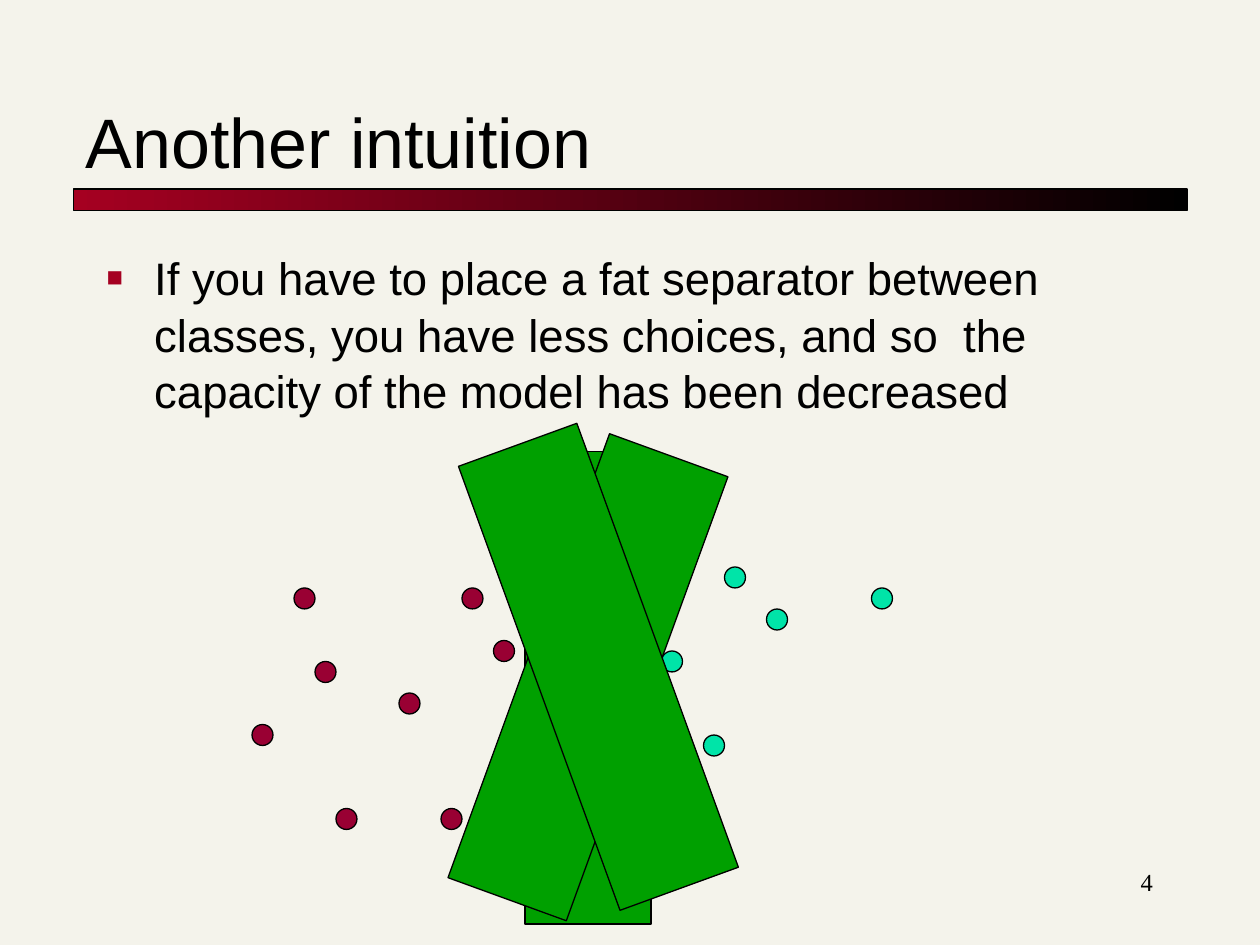
from lxml.etree import SubElement
from pptx import Presentation
from pptx.dml.color import RGBColor
from pptx.enum.shapes import MSO_SHAPE as Shape
from pptx.enum.text import MSO_ANCHOR as Anchor, PP_ALIGN as Align
from pptx.oxml.ns import qn
from pptx.util import Cm, Pt

COLORS = {
    "paper": "F4F3EB", "ink": "000000", "accent": "A50021",
    "left_class": "990033", "right_class": "00E4A8", "separator": "00A000",
}
GRID = 2.54 / 12  # the drawing sits on a grid of twelve steps to the inch

# Dot positions in grid steps from the top left of the drawing
LEFT_CLASS = [(4, 2), (6, 9), (8, 23), (20, 2), (0, 15), (14, 12), (23, 7), (18, 23)]
RIGHT_CLASS = [(39, 8), (43, 16), (45, 0), (59, 2), (49, 4)]
# Separators: left, top (grid steps) and rotation
SEPARATORS = [(26, -11, 0), (26, -12, 20), (27, -13, -20)]


def rgb(name):
    return RGBColor.from_string(COLORS[name])


def add_text(slide, box, text, size, font="Arial", anchor=Anchor.TOP, align=Align.LEFT):
    frame = slide.shapes.add_textbox(*map(Cm, box)).text_frame
    frame.word_wrap = True
    frame.vertical_anchor = anchor
    frame.text = text
    paragraph = frame.paragraphs[0]
    paragraph.alignment = align
    run_font = paragraph.runs[0].font
    run_font.name, run_font.size = font, Pt(size)
    run_font.color.rgb = rgb("ink")
    return paragraph


def add_outlined(slide, kind, box, color=None):
    shape = slide.shapes.add_shape(kind, *map(Cm, box))
    shape.shadow.inherit = False
    shape.line.color.rgb = rgb("ink")
    shape.line.width = Pt(0.75)
    if color:
        shape.fill.solid()
        shape.fill.fore_color.rgb = rgb(color)
    return shape


def add_bullet(paragraph, indent):
    props = paragraph._p.get_or_add_pPr()
    props.set("marL", str(Cm(indent)))
    props.set("indent", str(-Cm(indent)))
    color = SubElement(props, qn("a:buClr"))
    SubElement(color, qn("a:srgbClr"), val=COLORS["accent"])
    SubElement(props, qn("a:buSzPct"), val="60000")
    SubElement(props, qn("a:buFont"), typeface="Arial")
    SubElement(props, qn("a:buChar"), char="■")


def header(slide, left, top, width, height):
    rule_height = 0.43
    title_height = height - rule_height
    # Gradient rule under the title
    rule = add_outlined(slide, Shape.RECTANGLE,
                        (left, top + title_height, width, rule_height))
    rule.fill.gradient()
    rule.fill.gradient_angle = 0
    for stop, color in zip(rule.fill.gradient_stops, ("accent", "ink")):
        stop.color.rgb = rgb(color)
    add_text(slide, (left, top, width, title_height), "Another intuition", 40,
             anchor=Anchor.BOTTOM)


def statement(slide, *box):
    claim = add_text(slide, box, "If you have to place a fat separator between classes, "
                     "you have less choices, and so  the capacity of the model "
                     "has been decreased", 26)
    add_bullet(claim, 0.96)
    claim.line_spacing = 1.04


def separation_drawing(slide, left, top):
    def place(kind, column, row, columns, rows, color):
        box = (left + column * GRID, top + row * GRID, columns * GRID, rows * GRID)
        return add_outlined(slide, kind, box, color)

    # Dots of the two classes
    for color, dots in (("left_class", LEFT_CLASS), ("right_class", RIGHT_CLASS)):
        for column, row in dots:
            place(Shape.OVAL, column, row, 2, 2, color)
    # Fat separators in front of them
    for column, row, angle in SEPARATORS:
        separator = place(Shape.RECTANGLE, column, row, 12, 45, "separator")
        separator.rotation = angle


def page_number(slide, *box):
    add_text(slide, box, "4", 14, font="Times New Roman", align=Align.RIGHT)


def main():
    deck = Presentation()
    deck.slide_width, deck.slide_height = Cm(25.4), Cm(19.05)
    slide = deck.slides.add_slide(deck.slide_layouts[6])
    slide.background.fill.solid()
    slide.background.fill.fore_color.rgb = rgb("paper")

    header(slide, 1.48, 1.06, 22.45, 3.18)
    page_number(slide, 18.2, 17.36, 5.29, 1.27)
    statement(slide, 1.9, 4.87, 21.59, 13.55)
    separation_drawing(slide, 5.08, 11.43)
    deck.save("out.pptx")


if __name__ == "__main__":
    main()
